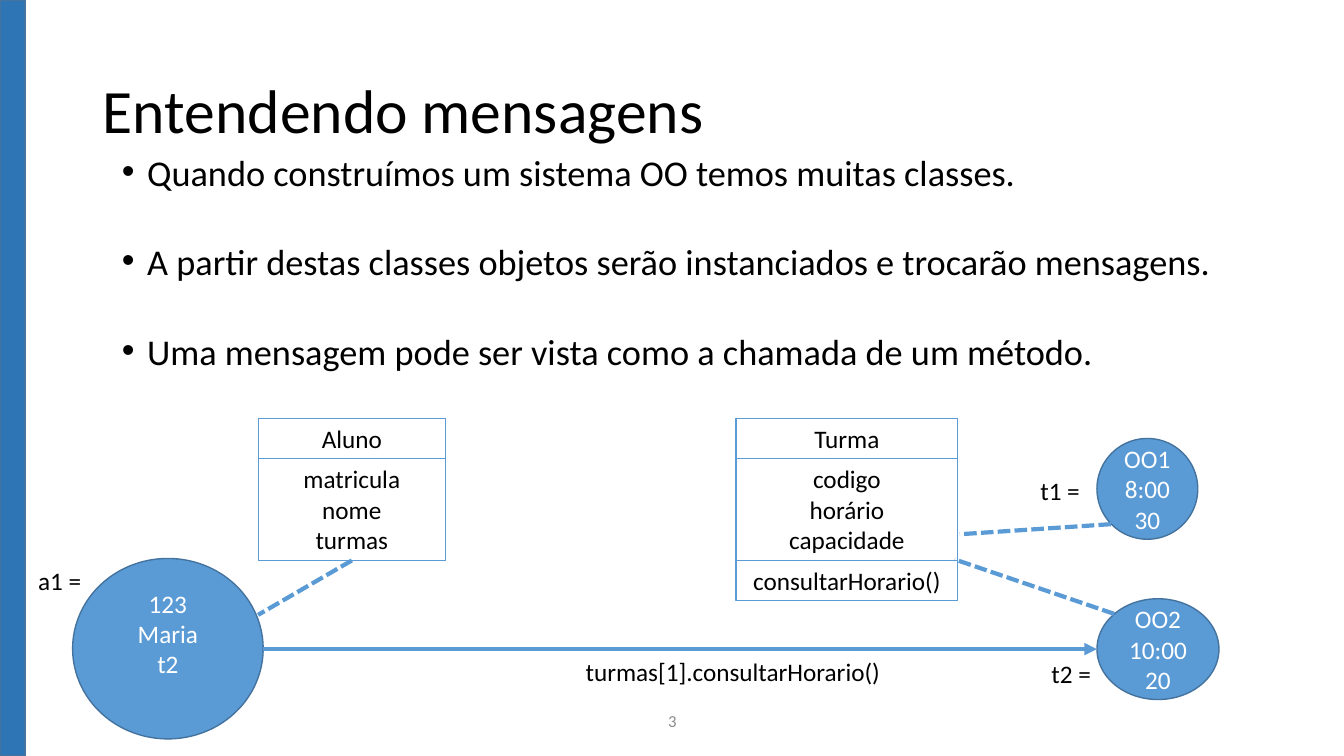
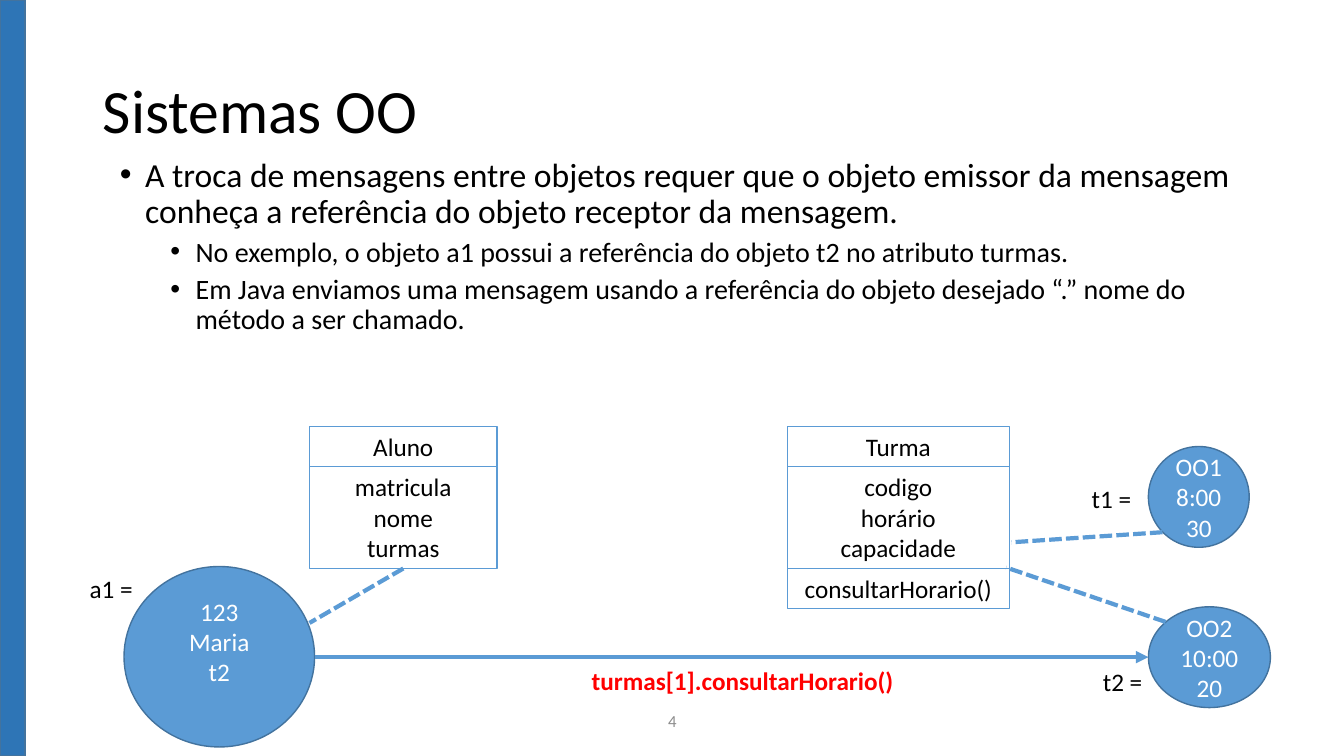
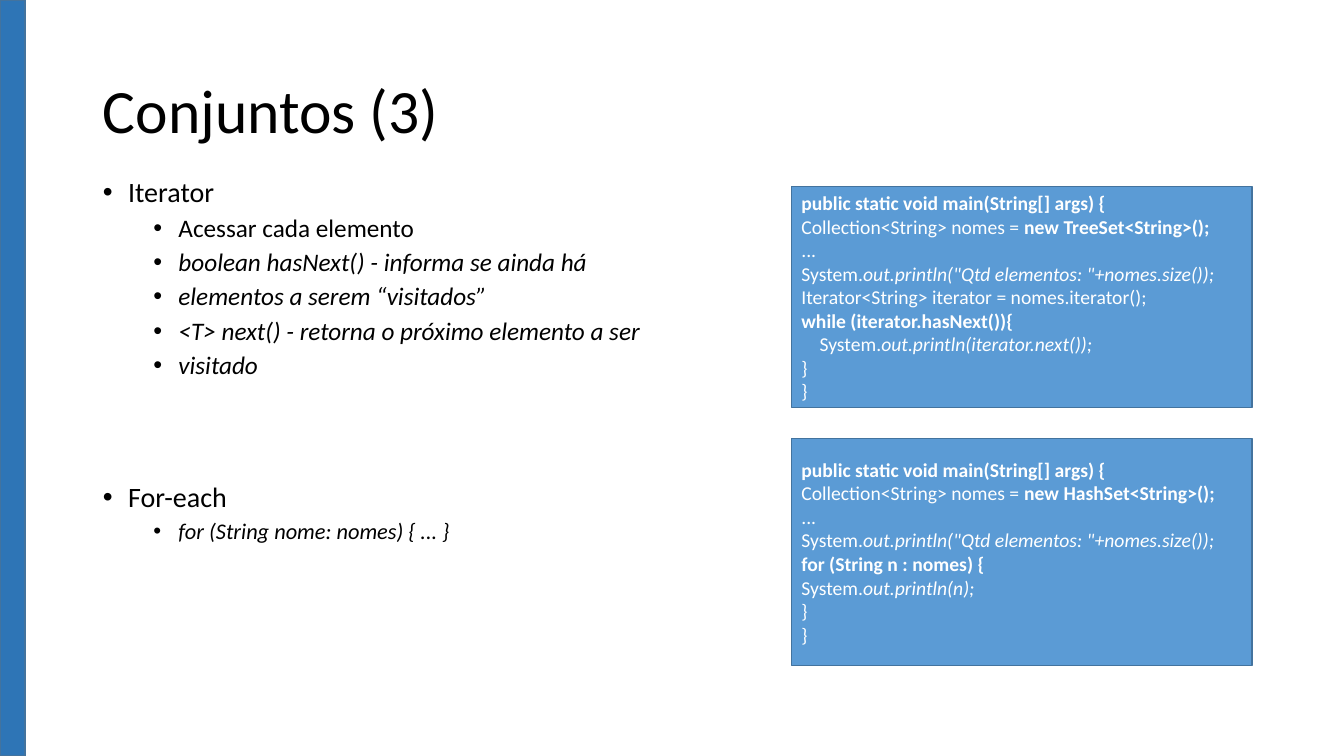
"""Builds three slides on messages between objects and on sets."""
from lxml.etree import SubElement
from pptx import Presentation
from pptx.dml.color import RGBColor
from pptx.enum.dml import MSO_LINE
from pptx.enum.shapes import MSO_CONNECTOR, MSO_SHAPE
from pptx.enum.text import MSO_ANCHOR, MSO_AUTO_SIZE, PP_ALIGN
from pptx.oxml.ns import qn
from pptx.util import Inches, Pt

FONT = "Calibri"
BLACK, WHITE, GREY, RED = "000000", "FFFFFF", "8C8C8C", "FF0000"
BLUE, BAND, EDGE = "5B9BD5", "2E75B6", "43739E"
WIDTH, HEIGHT = 13.33, 7.5
TITLE_AT = (0.92, 0.4, 11.5, 1.45)
NUMBER_AT = (4.42, 6.95, 4.5, 0.4)
BAND_AT = (0, 0, 0.25, HEIGHT)
ROW = 0.4
CALL = "turmas[1].consultarHorario()"

PAGES = [
    {
        "title": "Entendendo mensagens",
        "number": "3",
        "body_at": (1.11, 1.56, 11.11, 2.26),
        "spacing": 0.7,
        "body": [
            (0, 25.9, 10, "", "Quando construímos um sistema OO temos muitas classes."),
            (0, 25.9, 42, "", "A partir destas classes objetos serão instanciados e trocarão mensagens."),
            (0, 25.9, 42, "", "Uma mensagem pode ser vista como a chamada de um método."),
        ],
        "diagram": {"shift": (0, 0), "call_at": (5.71, 6.46, 3.15, ROW), "color": BLACK, "style": ""},
    },
    {
        "title": "Sistemas OO",
        "number": "4",
        "body_at": (1.09, 1.52, 11.51, 2.56),
        "spacing": 0.9,
        "body": [
            (0, 24, 10, "", "A troca de mensagens entre objetos requer que o objeto emissor da mensagem "
                            "conheça a referência do objeto receptor da mensagem."),
            (1, 20, 5, "", "No exemplo, o objeto a1 possui a referência do objeto t2 no atributo turmas."),
            (1, 20, 5, "", "Em Java enviamos uma mensagem usando a referência do objeto desejado “.” "
                           "nome do método a ser chamado."),
        ],
        "diagram": {"shift": (0.51, 0.08), "call_at": (5.77, 6.55, 3.22, ROW), "color": RED, "style": "b"},
    },
    {
        "title": "Conjuntos (3)",
        "body_at": (0.92, 1.72, 6.67, 4.88),
        "spacing": 0.9,
        "body": [
            (0, 20, 10, "", "Iterator"),
            (1, 18, 5, "", "Acessar cada elemento"),
            (1, 18, 5, "i", "boolean hasNext() - informa se ainda há"),
            (1, 18, 5, "i", "elementos a serem “visitados”"),
            (1, 18, 5, "i", "<T> next() - retorna o próximo elemento a ser"),
            (1, 18, 5, "i", "visitado"),
            (0, 20, 74, "", "For-each"),
            (1, 16, 5, "i", "for (String nome: nomes) { ... }"),
        ],
        "listings": [
            ((7.85, 1.85, 4.57, 2.19), "TreeSet", [
                [("Iterator<String> iterator = nomes.iterator();", "")],
                [("while (iterator.hasNext()){", "b")],
                [("System.", ""), ("out.println(iterator.next());", "i")],
            ], 6),
            ((7.85, 4.35, 4.57, 2.25), "HashSet", [
                [("for (String n : nomes) {", "b")],
                [("System.", ""), ("out.println(n);", "i")],
            ], None),
        ],
    },
]

CLASSES = {
    "Aluno": (2.56, 4.15, 1.86, [["Aluno"], ["matricula", "nome", "turmas"]]),
    "Turma": (7.3, 4.15, 2.2, [["Turma"], ["codigo", "horário", "capacidade"], ["consultarHorario()"]]),
}
OBJECTS = [
    ((0.72, 5.54, 1.89, 1.79), ["123", "Maria", "t2"], 0.35),
    ((10.88, 4.35, 1, 1), ["OO1", "8:00", "30"], 0.05),
    ((10.88, 5.94, 1.21, 1), ["OO2", "10:00", "20"], 0.05),
]
NAMES = [("t1 =", 10.22, 4.67), ("t2 =", 10.33, 6.48), ("a1 =", 0.28, 5.56)]
MESSAGE = (2.61, 6.44, 10.88, 6.44)
STUDENT_LINK = (3.49, 5.56, 2.56, 6.1)
COURSE_LINKS = [(11.02, 5.2, 9.52, 5.3), (11.05, 6.09, 9.47, 5.55)]


def rgb(color):
    return RGBColor.from_string(color)


def inches(values):
    return [Inches(value) for value in values]


def add_span(para, text, size, color=BLACK, style=""):
    span = para.add_run()
    span.text = text
    font = span.font
    font.name, font.size = FONT, Pt(size)
    font.color.rgb = rgb(color)
    font.bold, font.italic = "b" in style, "i" in style


def write(frame, lines, size=18, color=BLACK, align=PP_ALIGN.LEFT):
    for index, spans in enumerate(lines):
        para = frame.add_paragraph() if index else frame.paragraphs[0]
        para.alignment = align
        for text, style in spans:
            add_span(para, text, size, color, style)


def plain(texts):
    return [[(text, "")] for text in texts]


def add_box(page, kind, at, fill=None, line=EDGE, width=1):
    box = page.shapes.add_shape(kind, *inches(at))
    box.shadow.inherit = False
    if fill:
        box.fill.solid()
        box.fill.fore_color.rgb = rgb(fill)
    else:
        box.fill.background()
    box.line.color.rgb = rgb(line)
    box.line.width = Pt(width)
    return box


def add_label(page, at, text, size=18, color=BLACK, style="", align=PP_ALIGN.LEFT, wrap=False):
    box = page.shapes.add_textbox(*inches(at))
    box.text_frame.word_wrap = wrap
    write(box.text_frame, [[(text, style)]], size, color, align)
    return box


def add_line(page, ends, dashed=True):
    line = page.shapes.add_connector(MSO_CONNECTOR.STRAIGHT, *inches(ends))
    line.line.color.rgb = rgb(BLUE)
    line.line.width = Pt(3)
    properties = line._element.spPr
    if dashed:
        line.line.dash_style = MSO_LINE.SQUARE_DOT
    else:
        SubElement(properties.find(qn("a:ln")), qn("a:tailEnd"), type="triangle")
    SubElement(properties, qn("a:effectLst"))
    return line


def fill_title(page, text):
    title = page.shapes.title
    title.left, title.top, title.width, title.height = inches(TITLE_AT)
    frame = title.text_frame
    frame.auto_size = MSO_AUTO_SIZE.NONE
    frame.vertical_anchor = MSO_ANCHOR.MIDDLE
    write(frame, plain([text]), 44)
    frame.paragraphs[0].line_spacing = 0.9


def fill_body(page, at, items, spacing):
    body = page.placeholders[1]
    body.left, body.top, body.width, body.height = inches(at)
    frame = body.text_frame
    frame.auto_size = MSO_AUTO_SIZE.NONE
    for index, (level, size, before, style, text) in enumerate(items):
        para = frame.add_paragraph() if index else frame.paragraphs[0]
        para.level, para.line_spacing, para.space_before = level, spacing, Pt(before)
        properties = para._p.get_or_add_pPr()
        properties.set("marL", str(Inches(0.25 + 0.5 * level)))
        properties.set("indent", str(Inches(-0.25)))
        SubElement(properties, qn("a:buFont"), typeface="Arial")
        SubElement(properties, qn("a:buChar"), char="•")
        add_span(para, text, size, style=style)


def add_class(page, left, top, width, compartments):
    for texts in compartments:
        height = ROW if len(texts) == 1 else 1.01
        box = add_box(page, MSO_SHAPE.RECTANGLE, (left, top, width, height), line=BLUE, width=0.75)
        box.text_frame.vertical_anchor = MSO_ANCHOR.TOP
        write(box.text_frame, plain(texts), align=PP_ALIGN.CENTER)
        top += height
    return box


def add_diagram(page, shift, call_at, color, style):
    right, down = shift

    def moved(ends):
        first, second, third, fourth = ends
        return first + right, second + down, third + right, fourth + down

    last = {name: add_class(page, left + right, top + down, width, compartments)
            for name, (left, top, width, compartments) in CLASSES.items()}
    for (left, top, width, height), texts, bottom in OBJECTS:
        ball = add_box(page, MSO_SHAPE.OVAL, (left + right, top + down, width, height), BLUE)
        ball.text_frame.margin_bottom = Inches(bottom)
        ball.text_frame.vertical_anchor = MSO_ANCHOR.MIDDLE
        write(ball.text_frame, plain(texts), color=WHITE, align=PP_ALIGN.CENTER)
    for name, left, top in NAMES:
        add_label(page, (left + right, top + down, 0.66, ROW), name)
    add_label(page, call_at, CALL, color=color, style=style)
    add_line(page, moved(MESSAGE), dashed=False)
    add_line(page, moved(STUDENT_LINK)).begin_connect(last["Aluno"], 2)
    for ends in COURSE_LINKS:
        add_line(page, moved(ends))


def add_listing(page, at, kind, loop, indented):
    lines = [
        [("public static void main(String[] args) {", "b")],
        [("Collection<String> nomes = ", ""), (f"new {kind}<String>();", "b")],
        [("...", "")],
        [("System.", ""), ('out.println("Qtd elementos: "+nomes.size());', "i")],
        *loop,
        [("}", "")],
        [("}", "")],
    ]
    box = add_box(page, MSO_SHAPE.RECTANGLE, at, BLUE)
    box.text_frame.vertical_anchor = MSO_ANCHOR.MIDDLE
    write(box.text_frame, lines, 14, WHITE)
    if indented is not None:
        box.text_frame.paragraphs[indented]._p.get_or_add_pPr().set("marL", str(Inches(0.18)))


def add_page(deck, content):
    page = deck.slides.add_slide(deck.slide_layouts[1])
    add_box(page, MSO_SHAPE.RECTANGLE, BAND_AT, BAND)
    fill_title(page, content["title"])
    fill_body(page, content["body_at"], content["body"], content["spacing"])
    if "number" in content:
        number = add_label(page, NUMBER_AT, content["number"], 12, GREY, align=PP_ALIGN.CENTER, wrap=True)
        number.text_frame.vertical_anchor = MSO_ANCHOR.MIDDLE
    if "diagram" in content:
        add_diagram(page, **content["diagram"])
    for listing in content.get("listings", []):
        add_listing(page, *listing)


def main():
    deck = Presentation()
    deck.slide_width, deck.slide_height = inches((WIDTH, HEIGHT))
    for content in PAGES:
        add_page(deck, content)
    deck.save("out.pptx")


if __name__ == "__main__":
    main()
